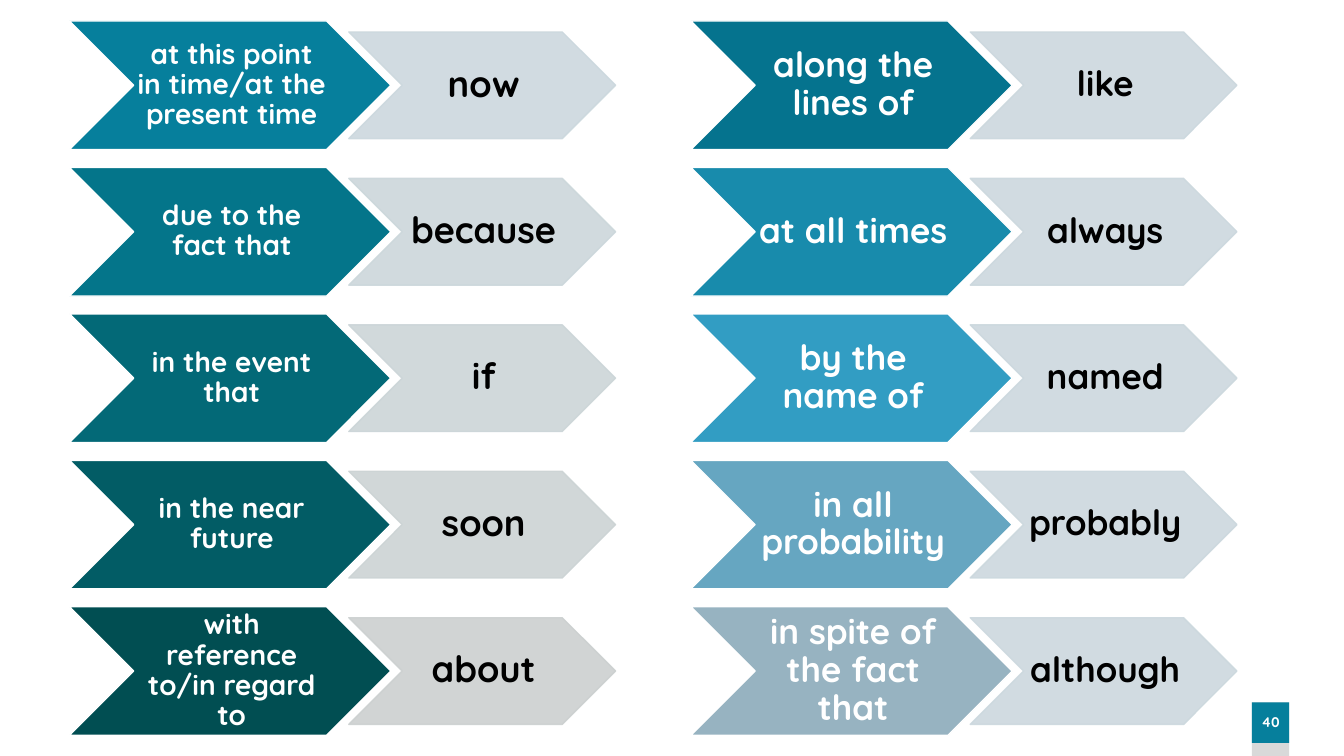
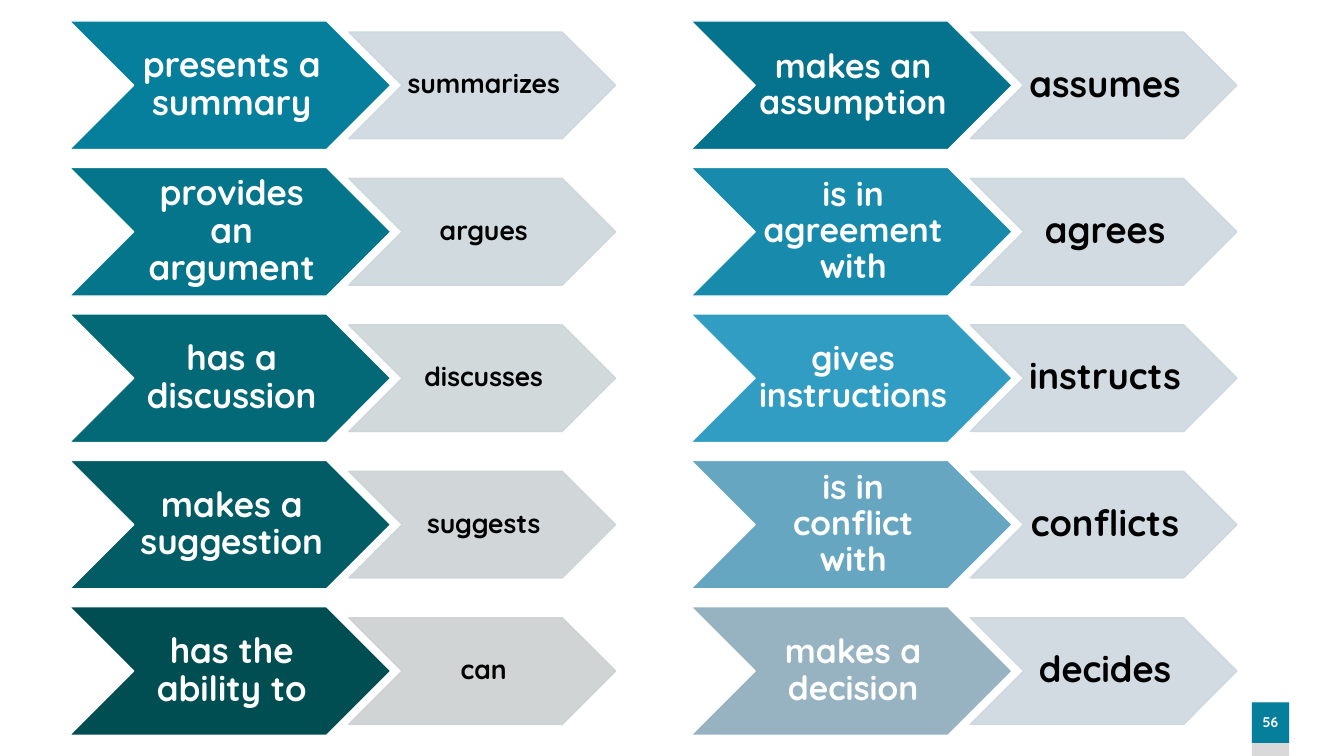
from lxml import etree
from pptx import Presentation
from pptx.dml.color import RGBColor
from pptx.enum.shapes import MSO_SHAPE
from pptx.enum.text import MSO_ANCHOR, PP_ALIGN
from pptx.oxml.ns import qn
from pptx.util import Cm, Pt

CHEVRON = MSO_SHAPE.CHEVRON
RECTANGLE = MSO_SHAPE.RECTANGLE
MIDDLE = MSO_ANCHOR.MIDDLE
CENTER = PP_ALIGN.CENTER

FONT = "Quicksand"
BLANK_LAYOUT = 6
COLORS = {
    "white": "FFFFFF",
    "black": "000000",
    "accent": "067F9C",
    "band": "D9D9D9",
    "wordy_left": ["067F9C", "04758A", "036977", "025C65", "014E52"],
    "concise_left": ["CCD8DE", "CCD7DB", "CCD5D8", "CCD3D4", "CCD0D0"],
    "wordy_right": ["05738E", "188BAC", "329DC3", "66A6C1", "97B3C1"],
    "concise_right": ["CCD8DE"] * 5,
}

SLIDE_WIDTH, SLIDE_HEIGHT = 33.87, 19.05
COLUMN_TOP = 0.53
COLUMN_LEFT = {"left": 1.75, "right": 17.41}
WORDY_WIDTH, WORDY_HEIGHT = 8.1, 3.24
CONCISE_SCALE = 0.83
CONCISE_OFFSET = 7.04
ROW_PITCH = 3.69

SLIDES = [
    {
        "number": "40",
        "left": {
            "sizes": (20, 26),
            "pairs": [
                ("at this point in time/at the present time", "now"),
                ("due to the fact that", "because"),
                ("in the event that", "if"),
                ("in the near future", "soon"),
                ("with reference to/in regard to", "about"),
            ],
        },
        "right": {
            "sizes": (25, 25),
            "pairs": [
                ("along the lines of", "like"),
                ("at all times", "always"),
                ("by the name of", "named"),
                ("in all probability", "probably"),
                ("in spite of the fact that", "although"),
            ],
        },
    },
    {
        "number": "56",
        "left": {
            "sizes": (25, 19),
            "pairs": [
                ("presents a summary", "summarizes"),
                ("provides an argument", "argues"),
                ("has a discussion", "discusses"),
                ("makes a suggestion", "suggests"),
                ("has the ability to", "can"),
            ],
        },
        "right": {
            "sizes": (24, 26),
            "pairs": [
                ("makes an assumption", "assumes"),
                ("is in agreement with", "agrees"),
                ("gives instructions", "instructs"),
                ("is in conflict with", "conflicts"),
                ("makes a decision", "decides"),
            ],
        },
    },
]


def add_filled(shapes, kind, box, fill, line=None):
    shape = shapes.add_shape(kind, *(Cm(length) for length in box))
    shape.shadow.inherit = False
    shape.fill.solid()
    shape.fill.fore_color.rgb = RGBColor.from_string(fill)
    if line:
        shape.line.color.rgb = RGBColor.from_string(line)
        shape.line.width = Pt(1)
    else:
        shape.line.fill.background()
    return shape


def set_label(shape, text, size, color, left_inset=0):
    frame = shape.text_frame
    frame.text = text
    frame.word_wrap = True
    frame.vertical_anchor = MIDDLE
    frame.margin_left = Cm(left_inset)
    frame.margin_right = 0
    frame.margin_top = frame.margin_bottom = Cm(0.04)
    paragraph = frame.paragraphs[0]
    paragraph.alignment = CENTER
    paragraph.line_spacing = 0.9
    font = paragraph.runs[0].font
    font.name = FONT
    font.size = Pt(size)
    font.bold = True
    font.color.rgb = RGBColor.from_string(color)


def set_opacity(shape, percent):
    for color in shape._element.spPr.iter(qn("a:srgbClr")):
        etree.SubElement(color, qn("a:alpha"), val=str(percent * 1000))


def add_pair(shapes, left, top, pair, sizes, fills):
    wordy_text, concise_text = pair
    wordy_size, concise_size = sizes
    wordy_fill, concise_fill = fills
    wordy = add_filled(shapes, CHEVRON, (left, top, WORDY_WIDTH, WORDY_HEIGHT),
                       wordy_fill, COLORS["white"])
    set_label(wordy, wordy_text, wordy_size, COLORS["white"], 0.08)

    width, height = WORDY_WIDTH * CONCISE_SCALE, WORDY_HEIGHT * CONCISE_SCALE
    concise_top = top + (WORDY_HEIGHT - height) / 2
    concise = add_filled(shapes, CHEVRON, (left + CONCISE_OFFSET, concise_top, width, height),
                         concise_fill, concise_fill)
    set_opacity(concise, 90)
    set_label(concise, concise_text, concise_size, COLORS["black"], 0.08)


def add_column(slide, side, content):
    column = slide.shapes.add_group_shape()
    fills = zip(COLORS[f"wordy_{side}"], COLORS[f"concise_{side}"])
    for row, (pair, pair_fills) in enumerate(zip(content["pairs"], fills)):
        add_pair(column.shapes, COLUMN_LEFT[side], COLUMN_TOP + row * ROW_PITCH,
                 pair, content["sizes"], pair_fills)


def add_page_number(slide, number, left=31.55, top=17.7, width=0.94):
    add_filled(slide.shapes, RECTANGLE, (left, top, width, SLIDE_HEIGHT - top), COLORS["band"])
    badge = add_filled(slide.shapes, RECTANGLE, (left, top, width, 1.02), COLORS["accent"])
    set_label(badge, number, 10, COLORS["white"])


def add_phrase_slide(deck, content):
    slide = deck.slides.add_slide(deck.slide_layouts[BLANK_LAYOUT])
    add_page_number(slide, content["number"])
    for side in COLUMN_LEFT:
        add_column(slide, side, content[side])


def main():
    deck = Presentation()
    deck.slide_width = Cm(SLIDE_WIDTH)
    deck.slide_height = Cm(SLIDE_HEIGHT)
    for content in SLIDES:
        add_phrase_slide(deck, content)
    deck.save("out.pptx")


if __name__ == "__main__":
    main()
